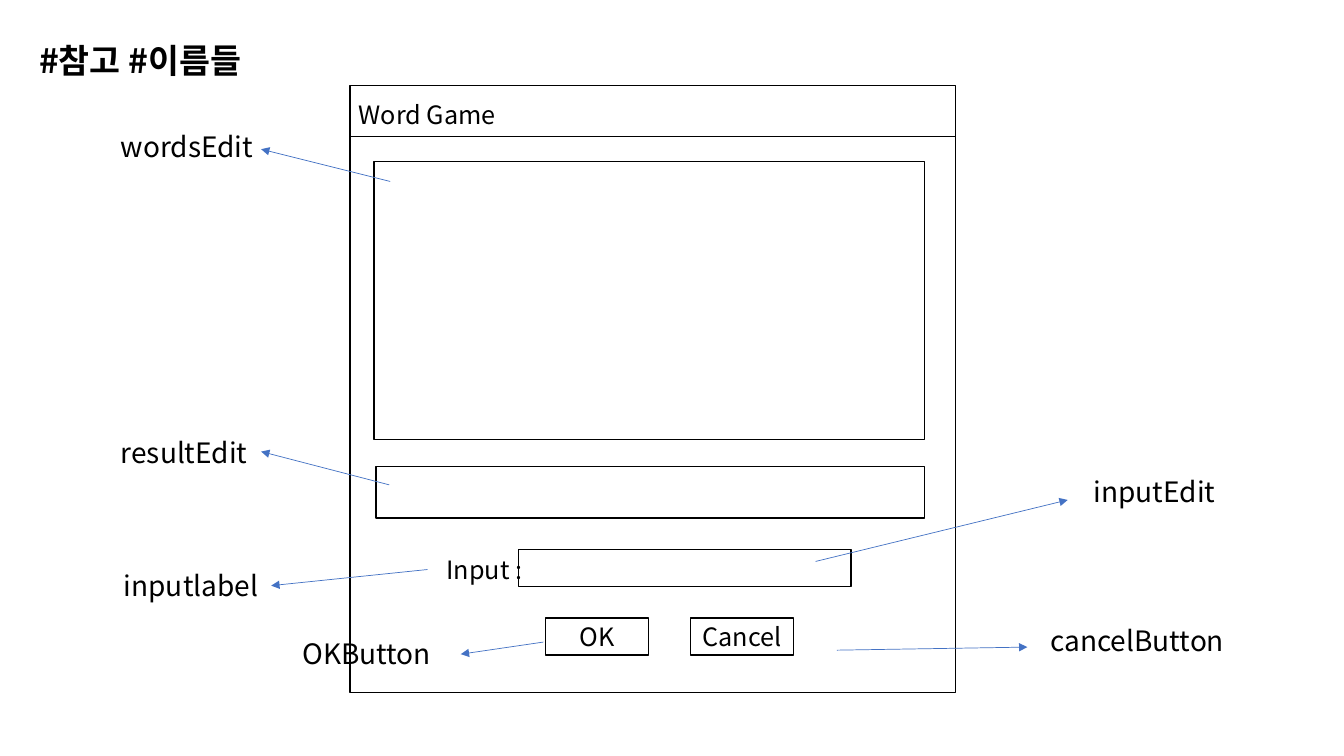
from dataclasses import dataclass

from pptx import Presentation
from pptx.dml.color import RGBColor
from pptx.enum.shapes import MSO_CONNECTOR, MSO_SHAPE
from pptx.enum.text import MSO_ANCHOR, PP_ALIGN
from pptx.oxml.ns import qn
from pptx.util import Inches, Pt
from lxml import etree

RECTANGLE, STRAIGHT = MSO_SHAPE.RECTANGLE, MSO_CONNECTOR.STRAIGHT
MIDDLE, LEFT, CENTER = MSO_ANCHOR.MIDDLE, PP_ALIGN.LEFT, PP_ALIGN.CENTER
FONT = "Noto Sans CJK KR"
BLACK, WHITE, BLUE = "000000", "FFFFFF", "4472C4"
CELL = Inches(0.1)  # side of one grid column or row
LABEL_WIDTH, LABEL_HEIGHT = 19.3, 4.4


@dataclass
class Area:
    """A rectangle in grid columns and rows."""
    left: float
    top: float
    width: float
    height: float

    def lengths(self) -> list[int]:
        """Return left, top, width and height as slide lengths."""
        return [cells(n) for n in (self.left, self.top, self.width, self.height)]


@dataclass
class Field:
    """An outlined part of the window, with an optional caption."""
    area: Area
    caption: str = ""


@dataclass
class Callout:
    """A widget name and the arrow that leads to it."""
    name: str
    left: float
    top: float
    start: tuple[float, float]
    end: tuple[float, float]


WINDOW = Area(34.7, 8.5, 60.1, 60.2)
TITLE_BAR_BOTTOM = 13.5
FIELDS = [
    Field(WINDOW),
    Field(Area(37.1, 16, 54.6, 27.6)),
    Field(Area(37.3, 46.3, 54.4, 5.1)),
    Field(Area(51.4, 54.5, 33, 3.7)),
    Field(Area(54.1, 61.3, 10.2, 3.7), "OK"),
    Field(Area(68.5, 61.3, 10.2, 3.7), "Cancel"),
]
CALLOUTS = [
    Callout("wordsEdit", 11, 12.3, (38.7, 18), (25.9, 14.8)),
    Callout("resultEdit", 11, 42.7, (38.6, 48.1), (25.9, 44.8)),
    Callout("inputlabel", 11.3, 55.9, (42.4, 56.5), (26.9, 58.1)),
    Callout("OKButton", 29, 62.6, (53.9, 63.7), (45.7, 64.9)),
    Callout("inputEdit", 107.5, 46.5, (80.9, 55.7), (105.9, 49.6)),
    Callout("cancelButton", 103.2, 61.3, (83, 64.5), (101.9, 64.2)),
]


def cells(count: float) -> int:
    """Turn a number of grid cells into a slide length."""
    return round(count * CELL)


def color(value: str) -> RGBColor:
    """Turn a hex string into a colour."""
    return RGBColor.from_string(value)


def write(shape, text: str, size: int, align=LEFT, bold: bool = False) -> None:
    """Put one vertically centred line of text in a shape."""
    frame = shape.text_frame
    frame.word_wrap = align == LEFT
    frame.vertical_anchor = MIDDLE
    frame.margin_top = frame.margin_bottom = 0
    paragraph = frame.paragraphs[0]
    paragraph.text, paragraph.alignment = text, align
    font = paragraph.font
    font.name, font.size, font.bold = FONT, Pt(size), bold
    font.color.rgb = color(BLACK)
    defaults = paragraph._p.pPr.find(qn("a:defRPr"))
    etree.SubElement(defaults, qn("a:ea"), typeface=FONT)


def add_label(page, area: Area, text: str, size: int, bold: bool = False) -> None:
    """Add a left-aligned text box."""
    write(page.shapes.add_textbox(*area.lengths()), text, size, bold=bold)


def add_field(page, field: Field) -> None:
    """Add a white box with a black outline."""
    box = page.shapes.add_shape(RECTANGLE, *field.area.lengths())
    box.shadow.inherit = False
    box.fill.solid()
    box.fill.fore_color.rgb = color(WHITE)
    box.line.color.rgb = color(BLACK)
    box.line.width = Pt(1)
    if field.caption:
        write(box, field.caption, 18, CENTER)


def add_line(page, start: tuple[float, float], end: tuple[float, float],
             hue: str, arrow: bool = False) -> None:
    """Add a thin straight line, with an arrowhead at its end if asked."""
    points = [cells(n) for n in (*start, *end)]
    line = page.shapes.add_connector(STRAIGHT, *points)
    line.line.color.rgb = color(hue)
    line.line.width = Pt(0.5)
    if arrow:
        etree.SubElement(line.line._get_or_add_ln(), qn("a:tailEnd"), type="triangle")
    etree.SubElement(line._element.spPr, qn("a:effectLst"))


def add_callout(page, callout: Callout) -> None:
    """Add a widget name and its arrow."""
    add_line(page, callout.start, callout.end, BLUE, arrow=True)
    area = Area(callout.left, callout.top, LABEL_WIDTH, LABEL_HEIGHT)
    add_label(page, area, callout.name, 20)


def main() -> None:
    """Build the slide and save it."""
    deck = Presentation()
    deck.slide_width, deck.slide_height = Inches(13.33), Inches(7.5)
    page = deck.slides.add_slide(deck.slide_layouts[6])
    for field in FIELDS:
        add_field(page, field)
    add_line(page, (WINDOW.left, TITLE_BAR_BOTTOM),
             (WINDOW.left + WINDOW.width, TITLE_BAR_BOTTOM), BLACK)
    add_label(page, Area(34.6, 9.5, 22.4, 3.7), "Word Game", 18)
    add_label(page, Area(43.3, 54.5, 12.3, 4), "Input :", 18)
    for callout in CALLOUTS:
        add_callout(page, callout)
    add_label(page, Area(2.9, 3.5, 35.7, 5), "#참고 #이름들", 24, bold=True)
    deck.save("out.pptx")


main()
